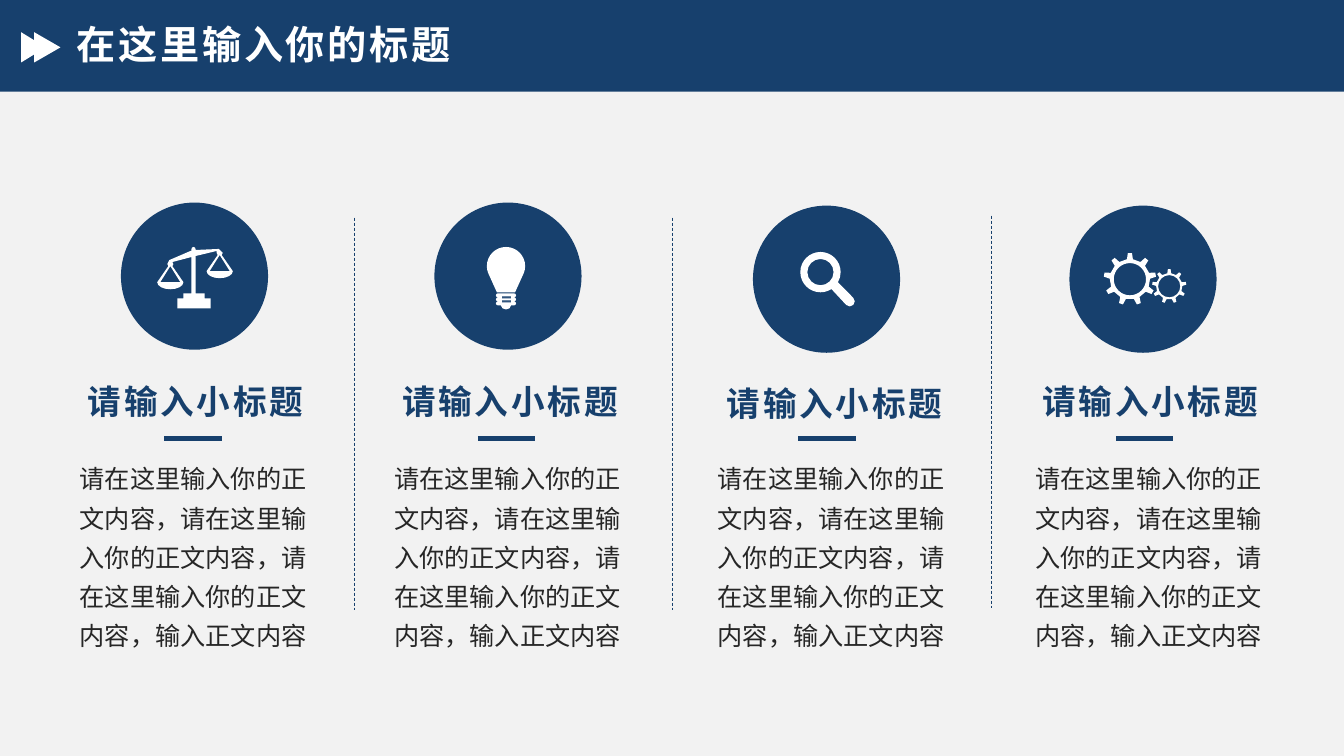
from math import cos, pi, radians, sin, tan

from lxml.etree import SubElement
from pptx import Presentation
from pptx.dml.color import RGBColor
from pptx.enum.dml import MSO_LINE
from pptx.enum.shapes import MSO_CONNECTOR, MSO_SHAPE
from pptx.enum.text import MSO_ANCHOR, PP_ALIGN
from pptx.oxml.ns import qn
from pptx.util import Inches, Pt

COLORS = {"navy": "17406D", "white": "FFFFFF", "ink": "262626", "paper": "F2F2F2"}
FONT = "Arial"
SLIDE_WIDTH = 40 / 3
TITLE = "在这里输入你的标题"
HEADING = "请输入小标题"
BODY = "请在这里输入你的正文内容，请在这里输入你的正文内容，请在这里输入你的正文内容，输入正文内容"

# Disc left and top, rule left, heading left and top, body left
COLUMNS = [
    (1.2, 2.01, 1.63, 0.55, 3.78, 0.57),
    (4.31, 2.01, 4.74, 3.67, 3.78, 3.69),
    (7.47, 2.04, 7.92, 6.89, 3.79, 6.9),
    (10.61, 2.04, 11.07, 10.02, 3.78, 10.05),
]
DIVIDERS = [(3.52, 2.16), (6.67, 2.16), (9.84, 2.14)]


def color(name):
    return RGBColor.from_string(COLORS[name])


def paint(shape, name):
    shape.shadow.inherit = False
    shape.fill.solid()
    shape.fill.fore_color.rgb = color(name)
    shape.line.fill.background()


def add_solid(slide, kind, left, top, width, height):
    solid = slide.shapes.add_shape(
        kind, Inches(left), Inches(top), Inches(width), Inches(height))
    paint(solid, "navy")


def add_line(slide, x1, y1, x2, y2, weight, dash=None):
    line = slide.shapes.add_connector(
        MSO_CONNECTOR.STRAIGHT, Inches(x1), Inches(y1), Inches(x2), Inches(y2))
    line.line.color.rgb = color("navy")
    line.line.width = Pt(weight)
    if dash:
        line.line.dash_style = dash
    SubElement(line._element.spPr, qn("a:effectLst"))


def add_text(slide, area, text, size, ink, spacing, bold=False, tracking=0,
             align=PP_ALIGN.CENTER, anchor=MSO_ANCHOR.TOP):
    frame = slide.shapes.add_textbox(*map(Inches, area)).text_frame
    frame.word_wrap = True
    frame.vertical_anchor = anchor
    frame.text = text
    paragraph = frame.paragraphs[0]
    paragraph.alignment = align
    paragraph.line_spacing = spacing
    run = paragraph.runs[0]
    run.font.name = FONT
    run.font.size = Pt(size)
    run.font.bold = bold
    run.font.color.rgb = color(ink)
    if tracking:
        run._r.get_or_add_rPr().set("spc", str(tracking * 100))


def add_icon(slide, contours):
    """Draw closed contours as one white shape; inner contours become holes.

    A step of one point is a straight line, a step of three points a Bezier curve.
    """
    builder = None
    for contour in contours:
        points = [tuple(map(Inches, point)) for step in contour for point in step]
        if builder is None:
            builder = slide.shapes.build_freeform(*points[0])
        else:
            builder.move_to(*points[0])
        builder.add_line_segments(points[1:], close=True)
    icon = builder.convert_to_shape()
    paint(icon, "white")
    segments = list(icon._element.iter(qn("a:moveTo"), qn("a:lnTo")))
    for step in (step for contour in contours for step in contour):
        parts, segments = segments[:len(step)], segments[len(step):]
        if len(parts) == 3:
            parts[0].tag  # first control point keeps the curve's place in order
            curve = parts[0].makeelement(qn("a:cubicBezTo"))
            parts[0].addprevious(curve)
            for part in parts:
                curve.append(part[0])
                part.getparent().remove(part)


def lines(*points):
    return [(point,) for point in points]


def arc(cx, cy, rx, ry=None, start=0, end=360):
    """Steps along an arc, in degrees clockwise from the right."""
    ry = rx if ry is None else ry

    def at(angle, lead=0):
        a = radians(angle)
        return (cx + rx * (cos(a) - lead * sin(a)), cy + ry * (sin(a) + lead * cos(a)))

    stops = [start, *(a for a in range(-360, 721, 90) if start < a < end), end]
    steps = lines(at(start))
    for a, b in zip(stops, stops[1:]):
        lead = 4 / 3 * tan(radians(b - a) / 4)
        steps.append((at(a, lead), at(b, -lead), at(b)))
    return steps


def box(left, top, right, bottom):
    return lines((left, top), (right, top), (right, bottom), (left, bottom))


def scales():
    def pan(cx, cy):
        return [*lines((cx + 0.03, cy - 0.18), (cx + 0.02, cy - 0.16)),
                *arc(cx, cy, 0.13, 0.07, 0, 180),
                *lines((cx - 0.02, cy - 0.16), (cx - 0.03, cy - 0.18))]

    def gap(cx, cy):
        return lines((cx, cy - 0.16), (cx - 0.1, cy), (cx + 0.1, cy))

    left_pan, right_pan = (1.69, 2.8), (2.18, 2.69)
    frame = [
        *arc(1.92, 2.47, 0.02, start=180, end=360), *lines((1.94, 2.48), (2.17, 2.47)),
        *pan(*right_pan),
        *lines((2.15, 2.49), (1.94, 2.54), (1.94, 2.91), (2.03, 2.91), (2.03, 2.96),
               (2.09, 2.96), (2.09, 3.06), (1.76, 3.06), (1.76, 2.96), (1.82, 2.96),
               (1.82, 2.91), (1.9, 2.91), (1.9, 2.55), (1.71, 2.6)),
        *pan(*left_pan), *lines((1.68, 2.58), (1.89, 2.49), (1.9, 2.49)),
    ]
    return [frame, gap(*left_pan), gap(*right_pan)]


def bulb():
    glass = [*arc(5.02, 2.64, 0.19, start=160, end=380), *lines((5.11, 2.9), (4.93, 2.9))]
    threads = [arc(5.1, y, 0.02, start=-90, end=90) + arc(4.94, y, 0.02, start=90, end=270)
               for y in (2.93, 2.97, 3.01)]
    tip = arc(5.02, 3.03, 0.05, 0.04, 0, 180)
    slots = [box(4.98, y, 5.07, y + 0.02) for y in (2.94, 2.98)]
    return [glass, *threads, tip, *slots]


def magnifier():
    rim = [*arc(8.14, 2.7, 0.2, start=57, end=390),
           *arc(8.43, 2.99, 0.05, start=-45, end=135)]
    return [rim, arc(8.14, 2.7, 0.13)]


def gear(cx, cy, tip, root, hole, teeth=9):
    outline = []
    for tooth in range(teeth):
        middle = 2 * pi * tooth / teeth - pi / 2
        for radius, offset in ((root, -8.5), (tip, -4.5), (tip, 4.5), (root, 8.5)):
            angle = middle + radians(offset)
            outline.append((cx + radius * cos(angle), cy + radius * sin(angle)))
    return [lines(*outline), arc(cx, cy, hole)]


def gears():
    return gear(11.21, 2.77, 0.26, 0.2, 0.16) + gear(11.6, 2.84, 0.17, 0.13, 0.11)


def add_header(slide):
    add_solid(slide, MSO_SHAPE.RECTANGLE, 0, 0, SLIDE_WIDTH, 0.91)
    add_icon(slide, [lines((0.21, 0.32), (0.34, 0.4), (0.34, 0.32), (0.6, 0.47),
                           (0.34, 0.62), (0.34, 0.54), (0.21, 0.62))])
    add_text(slide, (0.66, 0.23, 11.5, 0.46), TITLE, 28, "white", 0.9, bold=True,
             tracking=2, align=PP_ALIGN.LEFT, anchor=MSO_ANCHOR.MIDDLE)


def add_column(slide, column, icon):
    disc_x, disc_y, rule_x, heading_x, heading_y, body_x = column
    add_solid(slide, MSO_SHAPE.OVAL, disc_x, disc_y, 1.46, 1.46)
    add_icon(slide, icon)
    add_line(slide, rule_x, 4.35, rule_x + 0.57, 4.35, 3)
    add_text(slide, (heading_x, heading_y, 2.78, 0.57), HEADING, 24, "navy", 0.9,
             bold=True, tracking=2)
    add_text(slide, (body_x, 4.46, 2.69, 0.91), BODY, 18, "ink", 1.3)


def main():
    deck = Presentation()
    deck.slide_width, deck.slide_height = Inches(SLIDE_WIDTH), Inches(7.5)
    slide = deck.slides.add_slide(deck.slide_layouts[6])
    slide.background.fill.solid()
    slide.background.fill.fore_color.rgb = color("paper")
    add_header(slide)
    for x, top in DIVIDERS:
        add_line(slide, x, top, x, top + 3.89, 0.5, MSO_LINE.DASH)
    for column, icon in zip(COLUMNS, (scales(), bulb(), magnifier(), gears())):
        add_column(slide, column, icon)
    deck.save("out.pptx")


if __name__ == "__main__":
    main()
